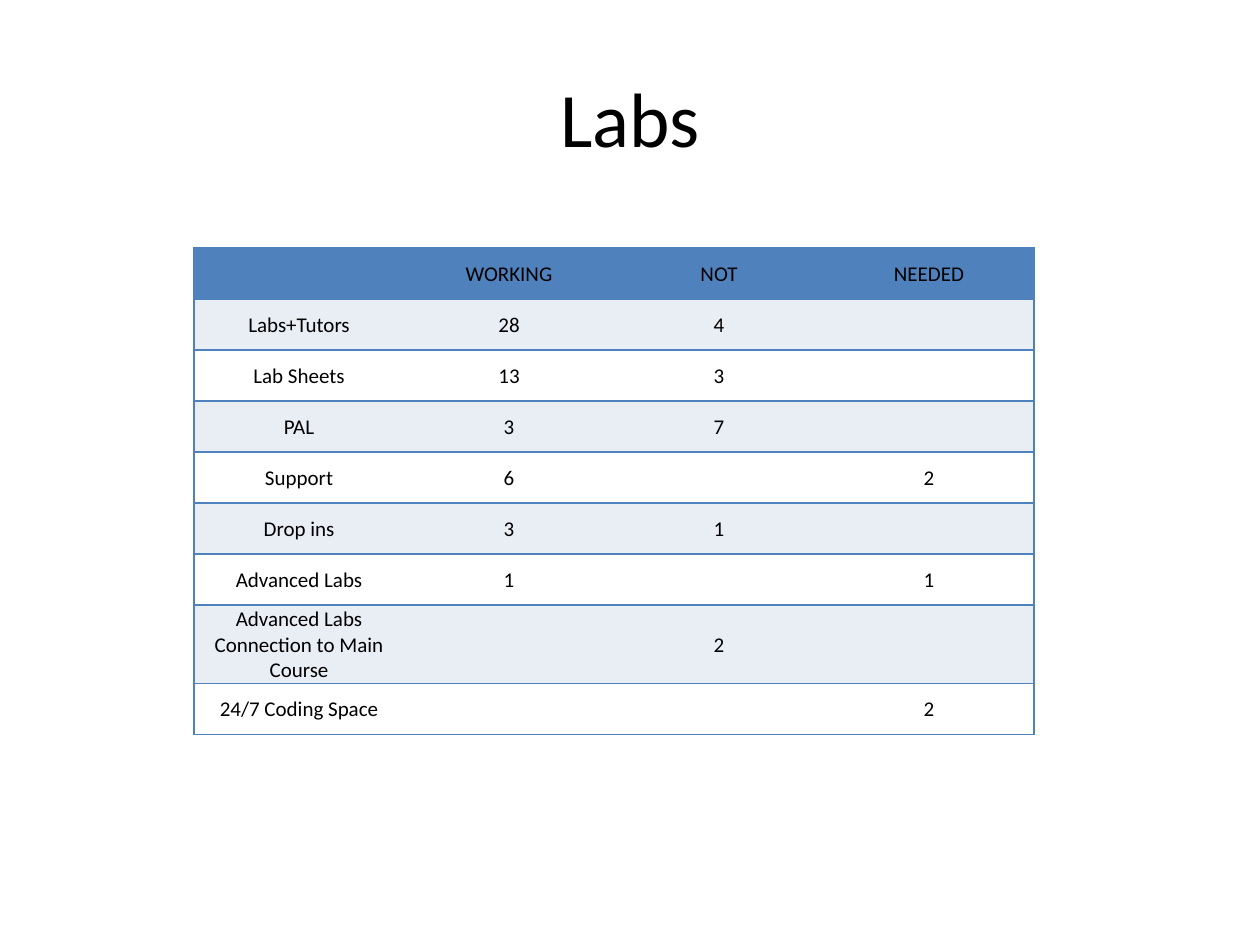
import pptx
import pptx.dml.color
import pptx.enum.text
import pptx.oxml
import pptx.oxml.ns
import pptx.util

Inches = pptx.util.Inches
BLUE, PALE, WHITE, BLACK = "4F81BD", "E9EDF4", "FFFFFF", "000000"


def color(value):
    return pptx.dml.color.RGBColor.from_string(value)


def write(frame, text, size):
    frame.word_wrap = True
    frame.vertical_anchor = pptx.enum.text.MSO_ANCHOR.MIDDLE
    paragraph = frame.paragraphs[0]
    paragraph.alignment = pptx.enum.text.PP_ALIGN.CENTER
    if text:
        run = paragraph.add_run()
        run.text = text
        run.font.name = "Calibri"
        run.font.size = pptx.util.Pt(size)
        run.font.color.rgb = color(BLACK)


presentation = pptx.Presentation()
presentation.slide_width = Inches(10)
presentation.slide_height = Inches(7.5)
slide = presentation.slides.add_slide(presentation.slide_layouts[6])

# Title
title = slide.shapes.add_textbox(Inches(0.5), Inches(0.3), Inches(9), Inches(1.25))
write(title.text_frame, "Labs", 44)

# Lab feedback: topic, then counts of working, not working and needed
feedback = [
    ("", "WORKING", "NOT", "NEEDED"),
    ("Labs+Tutors", "28", "4", ""),
    ("Lab Sheets", "13", "3", ""),
    ("PAL", "3", "7", ""),
    ("Support", "6", "", "2"),
    ("Drop ins", "3", "1", ""),
    ("Advanced Labs", "1", "", "1"),
    ("Advanced Labs Connection to Main Course", "", "2", ""),
    ("24/7 Coding Space", "", "", "2"),
]
row_count, column_count = len(feedback), len(feedback[0])
column_width = presentation.slide_width // 6
row_height = Inches(0.405)
table = slide.shapes.add_table(
    row_count, column_count, Inches(1.54), Inches(1.97),
    column_width * column_count, row_height * row_count).table
table.first_row = False
table.horz_banding = False
for column in table.columns:
    column.width = column_width
for row in table.rows:
    row.height = row_height
table.rows[7].height = Inches(0.62)  # holds a three-line topic

for row_index, values in enumerate(feedback):
    for column_index, value in enumerate(values):
        cell = table.cell(row_index, column_index)
        cell.margin_left = cell.margin_right = cell.margin_top = Inches(0.01)
        cell.margin_bottom = 0
        cell.vertical_anchor = pptx.enum.text.MSO_ANCHOR.MIDDLE
        write(cell.text_frame, value, 12)

        # Horizontal rules everywhere, vertical rules only at the outer edges
        properties = cell._tc.get_or_add_tcPr()
        edges = {"lnL": column_index == 0, "lnR": column_index == column_count - 1,
                 "lnT": True, "lnB": True}
        for edge, visible in edges.items():
            paint = (f'<a:solidFill><a:srgbClr val="{BLUE}"/></a:solidFill>'
                     if visible else "<a:noFill/>")
            properties.append(pptx.oxml.parse_xml(
                f'<a:{edge} {pptx.oxml.ns.nsdecls("a")} w="12700">{paint}</a:{edge}>'))

        # Blue heading row, then alternating bands
        cell.fill.solid()
        band = PALE if row_index % 2 else WHITE
        cell.fill.fore_color.rgb = color(band if row_index else BLUE)

presentation.save("out.pptx")
